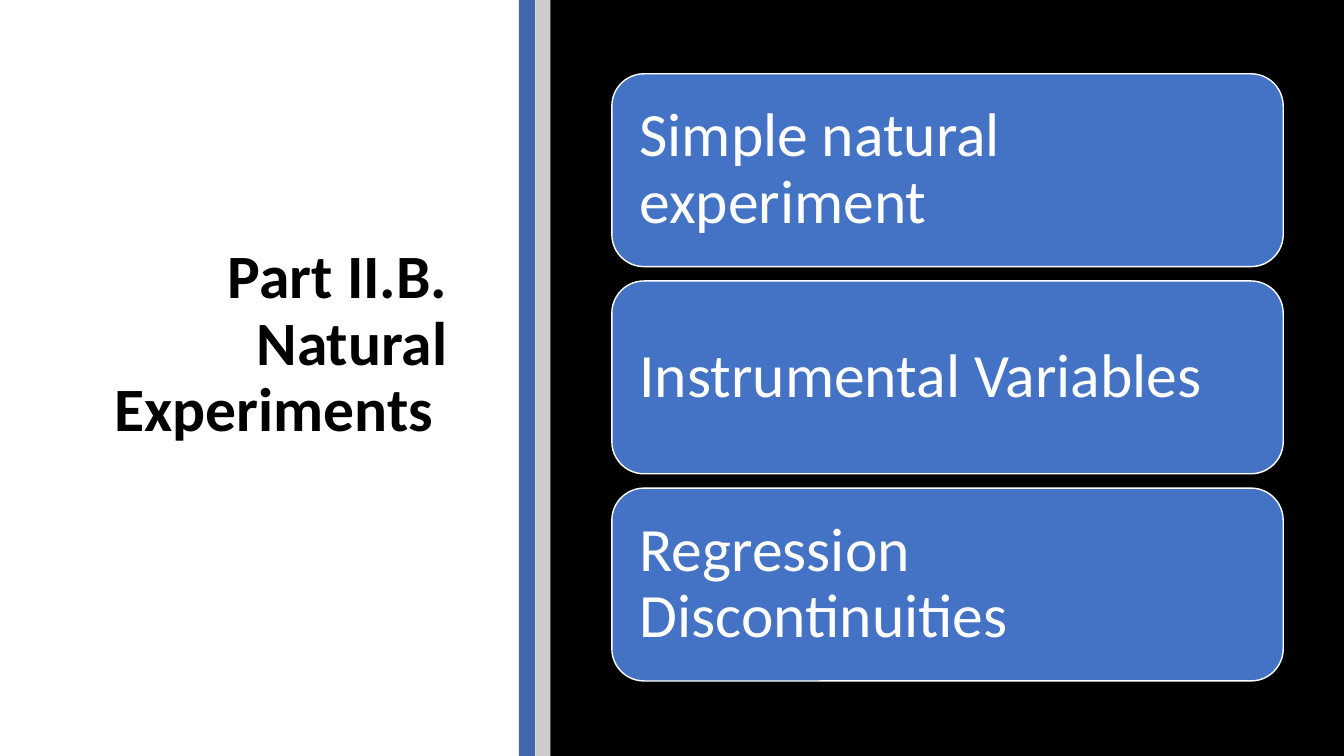
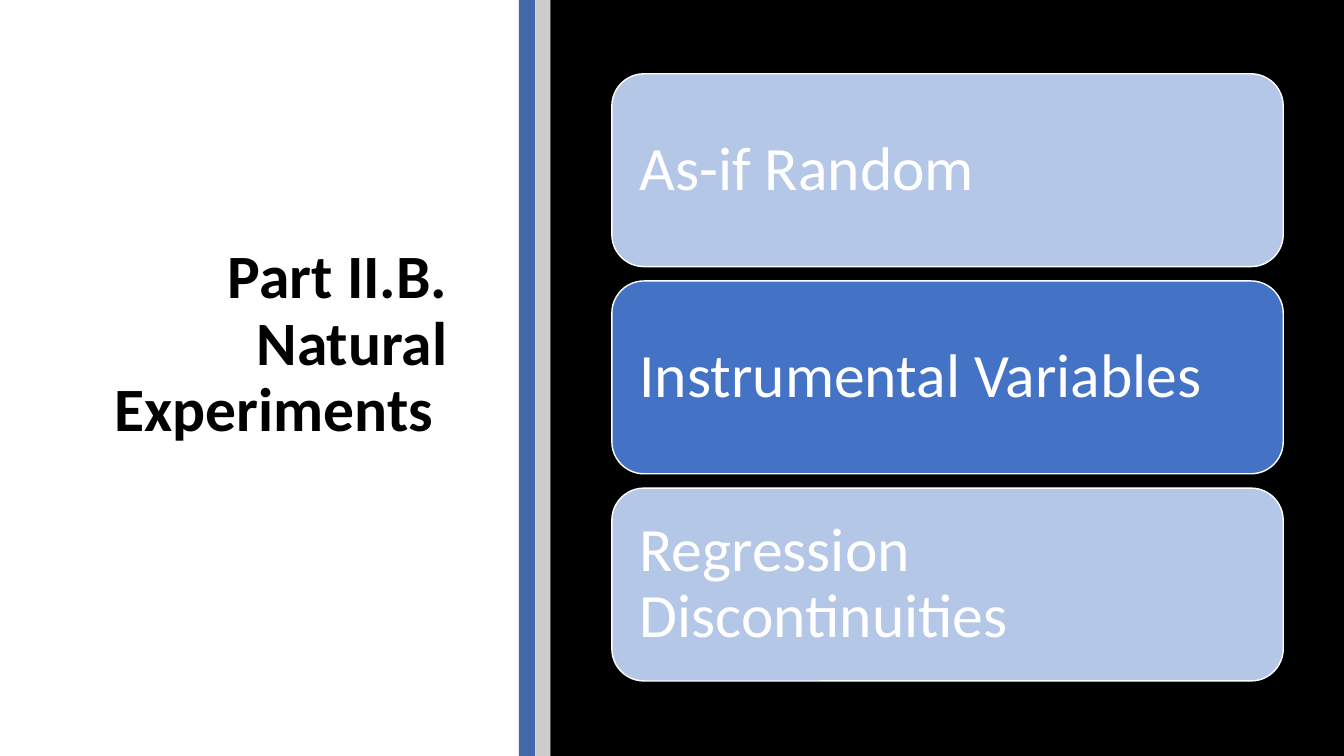
from dataclasses import dataclass

from pptx import Presentation
from pptx.dml.color import RGBColor
from pptx.enum.shapes import MSO_SHAPE
from pptx.enum.text import MSO_ANCHOR, PP_ALIGN
from pptx.util import Cm, Pt

RECT, ROUND = MSO_SHAPE.RECTANGLE, MSO_SHAPE.ROUNDED_RECTANGLE
LEFT, RIGHT = PP_ALIGN.LEFT, PP_ALIGN.RIGHT
MIDDLE = MSO_ANCHOR.MIDDLE

HEX = {
    "black": "000000",
    "white": "FFFFFF",
    "grey": "CCCCCC",
    "stripe": "4368AA",
    "blue": "4472C4",
    "pale": "B4C7E7",
}
FONT, SIZE = "Calibri", 44
WIDE, HIGH = 33.87, 19.05  # slide, cm
TITLE = "Part II.B.\vNatural Experiments "

# Stacked cards, cm
CARD_X, CARD_Y, CARD_W, CARD_H = 15.42, 1.86, 16.92, 4.86
CARD_GAP, CARD_PAD = 0.36, 0.46


@dataclass
class Band:
    left: float
    width: float
    fill: str


@dataclass
class Card:
    text: str
    fill: str = "blue"


BANDS = [
    Band(13.08, 0.41, "stripe"),
    Band(13.49, 0.38, "grey"),
    Band(13.87, WIDE - 13.87, "black"),
]
DECK = [
    [
        Card("Simple natural experiment"),
        Card("Instrumental Variables"),
        Card("Regression Discontinuities"),
    ],
    [
        Card("As-if Random", "pale"),
        Card("Instrumental Variables"),
        Card("Regression Discontinuities", "pale"),
    ],
]


def shade(name: str) -> RGBColor:
    return RGBColor.from_string(HEX[name])


def block(slide, kind, left: float, top: float, width: float,
          height: float, fill: str):
    """Draw a filled shape with no outline or shadow."""
    shape = slide.shapes.add_shape(
        kind, Cm(left), Cm(top), Cm(width), Cm(height))
    shape.shadow.inherit = False
    shape.fill.solid()
    shape.fill.fore_color.rgb = shade(fill)
    shape.line.fill.background()
    return shape


def write(shape, text: str, color: str, align, pad: float,
          bold: bool = False) -> None:
    """Set one vertically centred paragraph in a shape."""
    frame = shape.text_frame
    frame.word_wrap = True
    frame.vertical_anchor = MIDDLE
    frame.margin_left = frame.margin_right = Cm(pad)
    frame.margin_top = frame.margin_bottom = Cm(pad)
    para = frame.paragraphs[0]
    para.text = text
    para.alignment = align
    para.line_spacing = 0.9
    font = para.font
    font.name, font.size, font.bold = FONT, Pt(SIZE), bold
    font.color.rgb = shade(color)


def frame_up(slide) -> None:
    """Draw the title and bands that every slide shares."""
    title = slide.shapes.add_textbox(Cm(2.1), Cm(2.7), Cm(9.43), Cm(12))
    write(title, TITLE, "black", RIGHT, 0.25, bold=True)
    for band in BANDS:
        block(slide, RECT, band.left, 0, band.width, HIGH, band.fill)


def stack(slide, cards: list[Card]) -> None:
    """Draw the cards from top to bottom at equal gaps."""
    for row, card in enumerate(cards):
        top = CARD_Y + row * (CARD_H + CARD_GAP)
        shape = block(slide, ROUND, CARD_X, top, CARD_W, CARD_H, card.fill)
        shape.line.color.rgb = shade("white")
        shape.line.width = Pt(1)
        write(shape, card.text, "white", LEFT, CARD_PAD)


# Build the deck
deck = Presentation()
deck.slide_width, deck.slide_height = Cm(WIDE), Cm(HIGH)
blank = deck.slide_layouts[6]
for cards in DECK:
    slide = deck.slides.add_slide(blank)
    frame_up(slide)
    stack(slide, cards)
deck.save("out.pptx")
